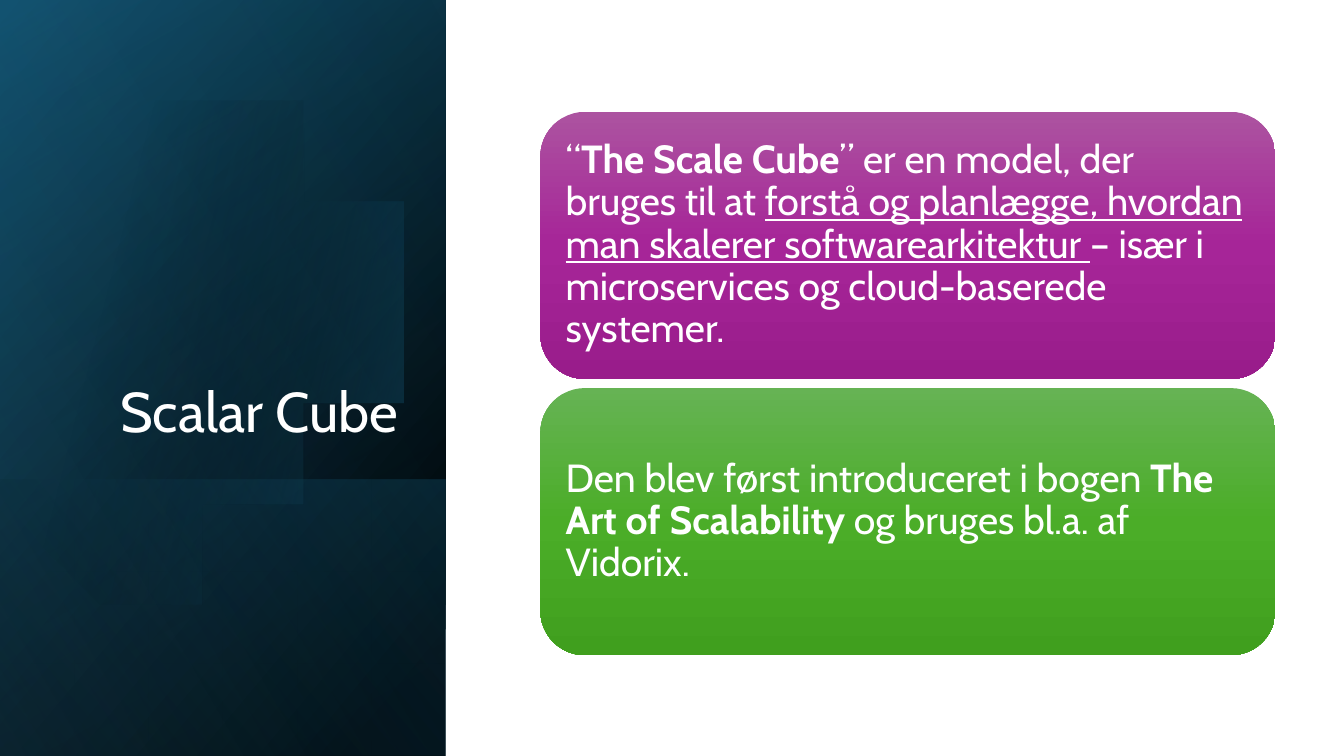
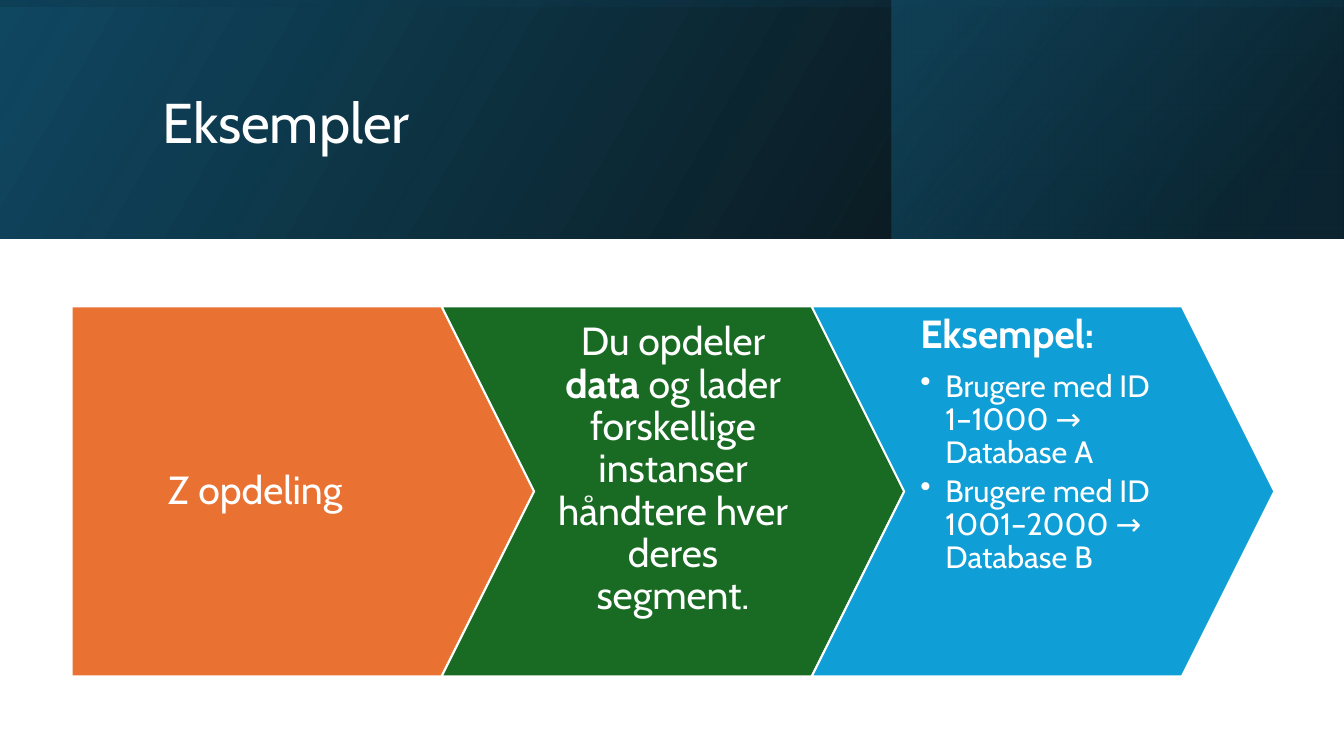
import math

import pptx
import pptx.dml.color
import pptx.enum.shapes
import pptx.enum.text
import pptx.oxml.ns
import pptx.util
from lxml import etree

Inches = pptx.util.Inches
Pt = pptx.util.Pt
qn = pptx.oxml.ns.qn
SHAPES = pptx.enum.shapes.MSO_SHAPE
ALIGN = pptx.enum.text.PP_ALIGN
ANCHOR = pptx.enum.text.MSO_ANCHOR

WIDTH, HEIGHT = 13.33, 7.5
FONT = "Cabin"
WHITE = "FFFFFF"
BLACK = "000000"
NAVY = "104862"
TEAL = "156082"
BODY = {"size": Pt(28), "space_after": Pt(10)}
BULLET = {"size": Pt(22), "space_after": Pt(3.5), "bullet": True}


def color(hex_value):
    return pptx.dml.color.RGBColor.from_string(hex_value)


def apply(target, values):
    for name, value in values.items():
        setattr(target, name, value)


def child(parent, tag, **attributes):
    return etree.SubElement(parent, qn(tag), attributes)


class Deck:
    """Holds the shared style and the slide being built."""

    def __init__(self):
        self.presentation = pptx.Presentation()
        self.presentation.slide_width = Inches(WIDTH)
        self.presentation.slide_height = Inches(HEIGHT)
        self.slide = None

    def new_slide(self):
        layout = self.presentation.slide_layouts[6]
        self.slide = self.presentation.slides.add_slide(layout)

    def gradient(self, shape, stops, angle):
        """Fill with (position, hex, opacity) stops in percent, angle clockwise."""
        shape.fill.gradient()
        fill = shape._element.spPr.find(qn("a:gradFill"))
        stop_list = fill.find(qn("a:gsLst"))
        for old_stop in list(stop_list):
            stop_list.remove(old_stop)
        for position, hex_value, opacity in stops:
            stop = child(stop_list, "a:gs", pos=str(position * 1000))
            tint = child(stop, "a:srgbClr", val=hex_value)
            if opacity < 100:
                child(tint, "a:alpha", val=str(opacity * 1000))
        fill.find(qn("a:lin")).set("ang", str(angle * 60000))

    def shape(self, kind, left, top, width, height):
        shape = self.slide.shapes.add_shape(
            kind, Inches(left), Inches(top), Inches(width), Inches(height))
        shape.shadow.inherit = False
        shape.line.fill.background()
        return shape

    def band(self, box, stops, angle, rotation=0):
        """Mirrored gradient panel that covers box once it is rotated."""
        left, top, width, height = box
        if rotation:
            left += (width - height) / 2
            top += (height - width) / 2
            width, height = height, width
        panel = self.shape(SHAPES.RECTANGLE, left, top, width, height)
        panel.rotation = rotation
        panel._element.spPr.find(qn("a:xfrm")).set("flipH", "1")
        self.gradient(panel, stops, angle)

    def disc(self, center, radius, half_arc, stops, angle):
        """Circle cut off by a vertical chord on its left."""
        points = [(center[0] + radius * math.cos(math.radians(degree)),
                   center[1] + radius * math.sin(math.radians(degree)))
                  for degree in range(-half_arc, half_arc + 1, 2)]
        builder = self.slide.shapes.build_freeform(*points[0], scale=Inches(1))
        builder.add_line_segments(points[1:], close=True)
        disc = builder.convert_to_shape()
        disc.shadow.inherit = False
        disc.line.fill.background()
        self.gradient(disc, stops, angle)

    def fill_text(self, shape, paragraphs, align, anchor, insets):
        """Fill with (format, runs) paragraphs; a run is (text, font format)."""
        frame = shape.text_frame
        sides = ("margin_left", "margin_top", "margin_right", "margin_bottom")
        apply(frame, {"word_wrap": True, "vertical_anchor": anchor})
        apply(frame, dict(zip(sides, map(Inches, insets))))
        for index, (style, runs) in enumerate(paragraphs):
            paragraph = frame.add_paragraph() if index else frame.paragraphs[0]
            apply(paragraph, {"alignment": align, "line_spacing": 0.9,
                              "space_after": style.get("space_after", Pt(0))})
            if style.get("bullet"):
                properties = paragraph._p.get_or_add_pPr()
                properties.set("marL", str(Inches(0.25)))
                properties.set("indent", str(Inches(-0.25)))
                child(properties, "a:buChar", char="•")
            for text, emphasis in runs:
                run = paragraph.add_run()
                run.text = text
                run.font.color.rgb = color(WHITE)
                apply(run.font, {"name": FONT, "size": style["size"], **emphasis})

    def title(self, text, box, align, anchor):
        title = self.slide.shapes.add_textbox(*map(Inches, box))
        self.fill_text(title, [({"size": Pt(40)}, [(text, {})])], align, anchor,
                       (0.1, 0.05, 0.1, 0.05))

    def card(self, box, shades, runs):
        card = self.shape(SHAPES.ROUNDED_RECTANGLE, *box)
        stops = [(place, shade, 100) for place, shade in zip((0, 50, 100), shades)]
        self.gradient(card, stops, 90)
        self.fill_text(card, [(BODY, runs)], ALIGN.LEFT, ANCHOR.MIDDLE, (0.12,) * 4)

    def step(self, kind, box, hex_value, paragraphs, align, anchor, insets):
        step = self.shape(kind, *box)
        step.adjustments[0] = 0.25
        step.fill.solid()
        step.fill.fore_color.rgb = color(hex_value)
        step.line.color.rgb = color(WHITE)
        step.line.width = Pt(1.5)
        self.fill_text(step, paragraphs, align, anchor, insets)


def scalar_cube(deck):
    deck.new_slide()
    panel = (0, 0, 4.42, HEIGHT)
    deck.band(panel, [(8, BLACK, 100), (100, NAVY, 100)], 50, 90)
    deck.band(panel, [(0, BLACK, 0), (99, TEAL, 46)], 30, 90)
    deck.band((0, 4.76, 4.42, 2.74), [(2, TEAL, 29), (100, BLACK, 30)], 130, 90)
    deck.disc((1.42, 3.38), 2.3, 128, [(29, BLACK, 0), (100, TEAL, 43)], 14)
    deck.band(panel, [(0, BLACK, 0), (99, "46B1E1", 11)], 120, 90)
    deck.title("Scalar Cube", (0.64, 1.84, 3.41, 2.62), ALIGN.RIGHT, ANCHOR.BOTTOM)

    bold, underlined = {"bold": True}, {"underline": True}
    cards = [
        (("AC53A0", "A62598", "991C8B"), [
            ("“", {}),
            ("The Scale Cube", bold),
            ("” er en model, der bruges til at ", {}),
            ("forstå og planlægge, hvordan man skalerer softwarearkitektur ",
             underlined),
            ("– især i microservices og cloud-baserede systemer.", {})]),
        (("66B354", "4BAD28", "409F1E"), [
            ("Den blev først introduceret i bogen ", {}),
            ("The Art of Scalability ", bold),
            ("og bruges bl.a. af Vidorix.", {})]),
    ]
    height, gap = 2.65, 0.09
    for index, (shades, runs) in enumerate(cards):
        deck.card((5.36, 1.11 + index * (height + gap), 7.29, height), shades, runs)


def examples(deck):
    deck.new_slide()
    header = (0, 0, WIDTH, 2.37)
    deck.band(header, [(0, BLACK, 96), (100, NAVY, 100)], 330)
    deck.band((8.84, 0, 4.48, 2.37), [(19, "0B3041", 68), (100, TEAL, 48)], 320)
    deck.band(header, [(23, NAVY, 16), (99, BLACK, 45)], 350, 270)
    deck.title("Eksempler", (1.51, 0.38, 10.63, 1.72), ALIGN.LEFT, ANCHOR.MIDDLE)

    bold = {"bold": True}
    division = [(BODY, [("Z opdeling", {})])]
    method = [(BODY, [
        ("Du opdeler ", {}),
        ("data", bold),
        (" og lader forskellige instanser håndtere hver deres segment.", {})])]
    example = [
        (BODY, [("Eksempel:", bold)]),
        (BULLET, [("Brugere med ID 1–1000 → Database A", {})]),
        (BULLET, [("Brugere med ID 1001–2000 → Database B", {})]),
    ]
    steps = [
        (SHAPES.PENTAGON, "E97132", division, ALIGN.CENTER, ANCHOR.MIDDLE,
         (0.16, 0.08, 0.65, 0.08)),
        (SHAPES.CHEVRON, "196B24", method, ALIGN.CENTER, ANCHOR.MIDDLE,
         (0.16, 0.08, 0.16, 0.5)),
        (SHAPES.CHEVRON, "0F9ED5", example, ALIGN.LEFT, ANCHOR.TOP,
         (0.16, 0.08, 0.16, 0.08)),
    ]
    width, point = 4.59, 0.92
    for index, (kind, *content) in enumerate(steps):
        deck.step(kind, (0.71 + index * (width - point), 3.04, width, 3.67), *content)


def main():
    deck = Deck()
    scalar_cube(deck)
    examples(deck)
    deck.presentation.save("out.pptx")


if __name__ == "__main__":
    main()
